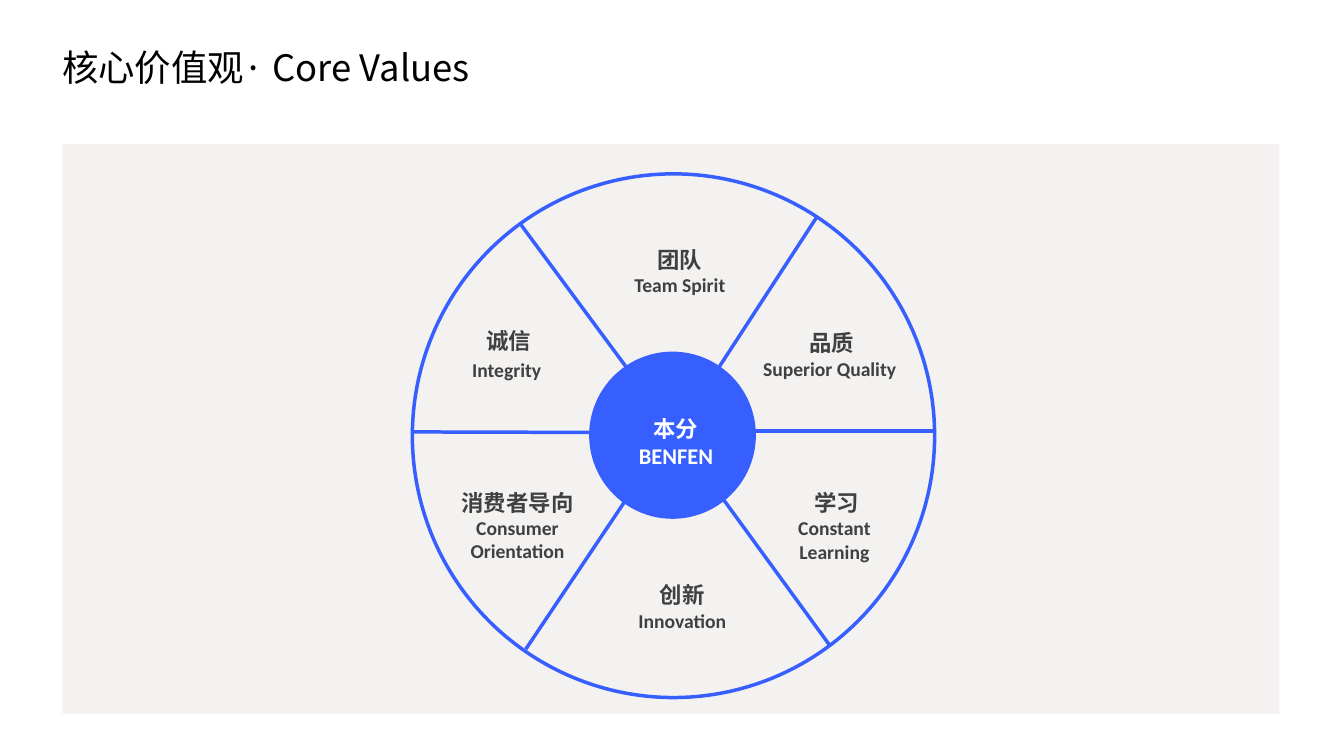
import pptx
import pptx.util
import pptx.dml.color
import pptx.enum.shapes
import pptx.enum.text
import pptx.oxml.ns
from lxml import etree

RGB = pptx.dml.color.RGBColor
BLUE = RGB(0x37, 0x5F, 0xFF)
PANEL_GREY = RGB(0xF3, 0xF2, 0xF1)
TEXT_GREY = RGB(0x40, 0x40, 0x40)
BLACK = RGB(0, 0, 0)
WHITE = RGB(0xFF, 0xFF, 0xFF)

PX = 9144  # EMU per px, 100 px to the inch
CJK_JP = "Noto Sans CJK JP"
CJK_SC = "Noto Sans CJK SC"
LATIN = "Calibri"
SHAPES = pptx.enum.shapes.MSO_SHAPE
ALIGN = pptx.enum.text.PP_ALIGN
qn = pptx.oxml.ns.qn


class Deck:
    def __init__(self, width, height):
        self.presentation = pptx.Presentation()
        self.presentation.slide_width = width * PX
        self.presentation.slide_height = height * PX
        self.slide = self.presentation.slides.add_slide(self.presentation.slide_layouts[6])

    def shape(self, kind, box, fill=None, line=None, weight=0):
        item = self.slide.shapes.add_shape(kind, *(n * PX for n in box))
        item.shadow.inherit = False
        if fill is None:
            item.fill.background()
        else:
            item.fill.solid()
            item.fill.fore_color.rgb = fill
        if line is None:
            item.line.fill.background()
        else:
            item.line.color.rgb = line
            item.line.width = pptx.util.Pt(weight)

    def line(self, start, end, weight=5):
        spoke = self.slide.shapes.add_connector(
            pptx.enum.shapes.MSO_CONNECTOR.STRAIGHT, *(n * PX for n in start + end))
        spoke.line.color.rgb = BLUE
        spoke.line.width = pptx.util.Pt(weight)
        etree.SubElement(spoke._element.spPr, qn("a:effectLst"))

    def text_frame(self, box):
        frame = self.slide.shapes.add_textbox(*(n * PX for n in box)).text_frame
        frame.word_wrap = True
        return frame

    def style(self, paragraph, face, size, color, bold=False):
        font = paragraph.font
        font.size = pptx.util.Pt(size)
        font.bold = bold
        font.color.rgb = color
        font.name = face
        properties = paragraph._p.get_or_add_pPr().find(qn("a:defRPr"))
        etree.SubElement(properties, qn("a:ea"), typeface=face)

    def title(self, box, wording):
        frame = self.text_frame(box)
        frame.margin_left = frame.margin_right = frame.margin_top = frame.margin_bottom = 0
        frame.vertical_anchor = pptx.enum.text.MSO_ANCHOR.MIDDLE
        heading = frame.paragraphs[0]
        heading.text = wording
        heading.line_spacing = 1.5
        self.style(heading, CJK_JP, 52, BLACK)

    def label(self, box, chinese, english, face=CJK_SC, size=28, color=TEXT_GREY, gap=0):
        """Chinese name above its English lines; gap is the space between them in points."""
        frame = self.text_frame(box)
        frame.auto_size = pptx.enum.text.MSO_AUTO_SIZE.SHAPE_TO_FIT_TEXT
        for index, wording in enumerate([chinese, *english]):
            paragraph = frame.add_paragraph() if index else frame.paragraphs[0]
            paragraph.text = wording
            paragraph.alignment = ALIGN.CENTER
            if index == 1 and gap:
                paragraph.space_before = pptx.util.Pt(gap)
            self.style(paragraph, LATIN if index else face, size if index else 32, color, True)


VALUES = [
    ((1070, 484, 557, 111), "团队", ["Team Spirit"], 0),
    ((1457, 649, 386, 111), "品质", ["Superior Quality "], 0),
    ((1075, 1149, 557, 111), "创新", ["Innovation"], 0),
    ((758, 965, 537, 158), "消费者导向", ["Consumer", " Orientation "], 0),
    ((731, 645, 557, 118), "诚信", ["Integrity "], 5),
    ((1459, 966, 401, 158), "学习", ["Constant ", "Learning "], 0),
]

SPOKES = [
    ((1242, 728), (1032, 444)),
    ((1424, 732), (1620, 431)),
    ((1043, 1288), (1240, 994)),
    ((1647, 1282), (1435, 991)),
    ((1491, 855), (1852, 855)),
    ((816, 857), (1173, 858)),
]


def main():
    deck = Deck(2666, 1500)
    deck.shape(SHAPES.RECTANGLE, (124, 286, 2414, 1130), fill=PANEL_GREY)
    deck.title((123, 61, 2011, 100), "核心价值观· Core Values")

    deck.shape(SHAPES.OVAL, (1170, 699, 328, 329), fill=BLUE, line=BLUE, weight=2)
    deck.label((1106, 818, 470, 118), "本分", ["BENFEN"], face=CJK_JP, size=32, color=WHITE)
    for box, chinese, english, gap in VALUES:
        deck.label(box, chinese, english, gap=gap)
    for start, end in SPOKES:
        deck.line(start, end)
    deck.shape(SHAPES.OVAL, (818, 345, 1036, 1039), line=BLUE, weight=5)

    deck.presentation.save("out.pptx")


if __name__ == "__main__":
    main()
